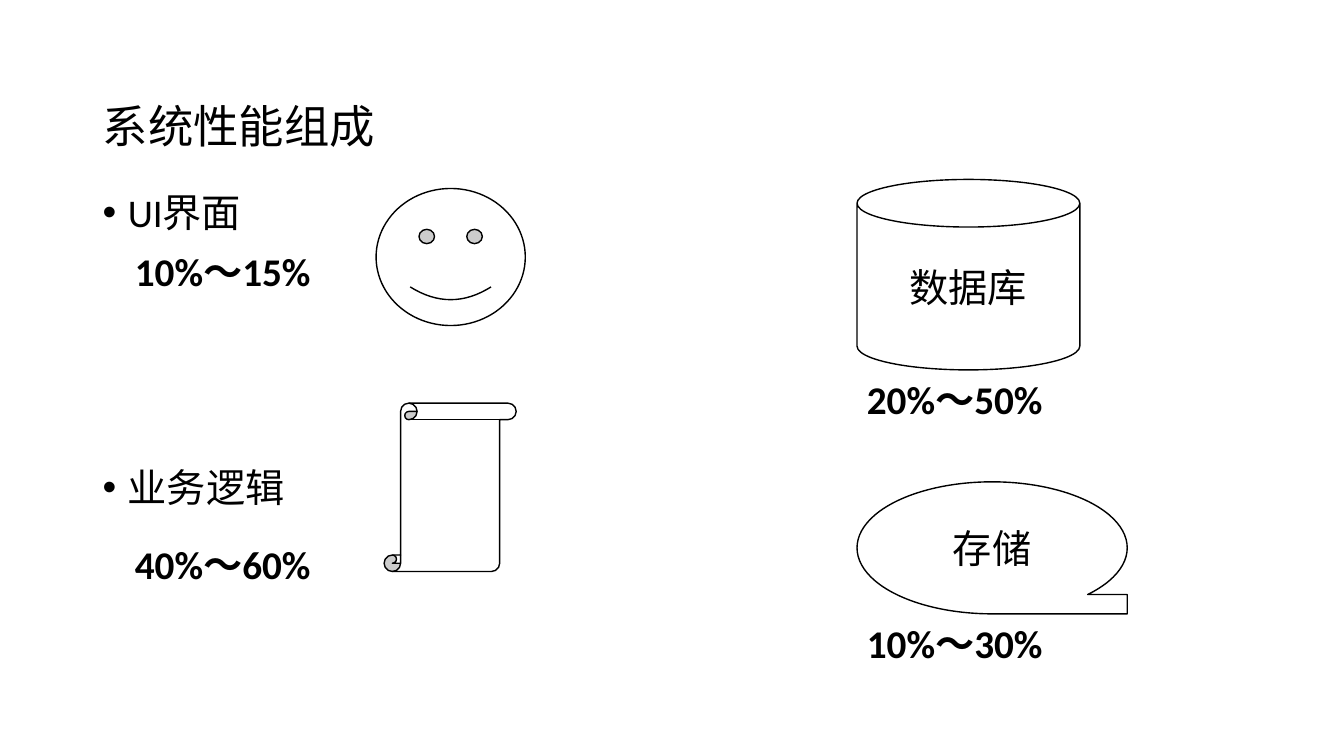
from lxml import etree
from pptx import Presentation
from pptx.dml.color import RGBColor
from pptx.enum.shapes import MSO_SHAPE
from pptx.enum.text import MSO_ANCHOR, PP_ALIGN
from pptx.oxml.ns import qn
from pptx.util import Inches, Pt

SMILEY = MSO_SHAPE.SMILEY_FACE
SCROLL = MSO_SHAPE.VERTICAL_SCROLL
CAN = MSO_SHAPE.CAN
TAPE = MSO_SHAPE.FLOWCHART_SEQUENTIAL_ACCESS_STORAGE
TOP, MIDDLE = MSO_ANCHOR.TOP, MSO_ANCHOR.MIDDLE
LEFT, CENTER = PP_ALIGN.LEFT, PP_ALIGN.CENTER

COLORS = {"ink": "000000", "paper": "FFFFFF"}
BODY_FONT, TITLE_FONT = "Calibri", "Noto Sans CJK SC"


class SlideBuilder:
    """Holds the text style and the current slide."""

    def __init__(self, slide):
        self.slide = slide
        self.style = {"name": BODY_FONT, "size": Pt(28), "bold": False}

    def color(self, name):
        return RGBColor.from_string(COLORS[name])

    def add_text(self, paragraph, text, **changes):
        run = paragraph.add_run()
        run.text = text
        for name, value in {**self.style, **changes}.items():
            setattr(run.font, name, value)
        run.font.color.rgb = self.color("ink")

    def title(self, text, box):
        shape = self.slide.shapes.title
        for name, value in zip(("left", "top", "width", "height"), box):
            setattr(shape, name, Inches(value))
        shape.text_frame.vertical_anchor = MIDDLE
        paragraph = shape.text_frame.paragraphs[0]
        paragraph.alignment = LEFT
        paragraph.line_spacing = 0.9
        self.add_text(paragraph, text, name=TITLE_FONT, size=Pt(32.4))

    def text_box(self, box):
        shape = self.slide.shapes.add_textbox(*map(Inches, box))
        shape.text_frame.word_wrap = True
        shape.text_frame.vertical_anchor = TOP
        return shape.text_frame

    def bullets(self, items, box):
        frame = self.text_box(box)
        for index, (text, space_before) in enumerate(items):
            paragraph = frame.add_paragraph() if index else frame.paragraphs[0]
            paragraph.line_spacing = 0.9
            paragraph.space_before = Pt(space_before)
            properties = paragraph._p.get_or_add_pPr()
            properties.set("marL", str(Inches(0.25)))
            properties.set("indent", str(-Inches(0.25)))
            etree.SubElement(properties, qn("a:buFont"), typeface="Arial")
            etree.SubElement(properties, qn("a:buChar"), char="•")
            self.add_text(paragraph, text)

    def share(self, text, left, top):
        frame = self.text_box((left, top, 3.2, 0.57))
        self.add_text(frame.paragraphs[0], text, bold=True)

    def symbol(self, kind, box, text=None):
        shape = self.slide.shapes.add_shape(kind, *map(Inches, box))
        shape.shadow.inherit = False
        shape.fill.solid()
        shape.fill.fore_color.rgb = self.color("paper")
        shape.line.color.rgb = self.color("ink")
        shape.line.width = Pt(1)
        if text:
            shape.text_frame.vertical_anchor = MIDDLE
            paragraph = shape.text_frame.paragraphs[0]
            paragraph.alignment = CENTER
            self.add_text(paragraph, text)


def main():
    presentation = Presentation()
    presentation.slide_width = Inches(13.33)
    presentation.slide_height = Inches(7.5)
    title_only = presentation.slide_layouts[5]
    builder = SlideBuilder(presentation.slides.add_slide(title_only))

    # Title and the two software layers
    builder.title("系统性能组成", (0.92, 1, 11.5, 0.56))
    builder.bullets([("UI界面", 10), ("业务逻辑", 166)], (0.92, 1.87, 11.5, 5.2))

    # Symbols of the four parts
    builder.symbol(SMILEY, (3.73, 1.87, 1.48, 1.36))
    builder.symbol(SCROLL, (3.81, 4, 1.31, 1.67))
    builder.symbol(CAN, (8.5, 1.78, 2.21, 1.89), "数据库")
    builder.symbol(TAPE, (8.5, 4.78, 2.68, 1.31), "存储")

    # Share of the time each part takes
    for text, left, top in (
        ("10%～15%", 1.24, 2.4),
        ("40%～60%", 1.24, 5.31),
        ("20%～50%", 8.5, 3.67),
        ("10%～30%", 8.5, 6.09),
    ):
        builder.share(text, left, top)

    presentation.save("out.pptx")


if __name__ == "__main__":
    main()
